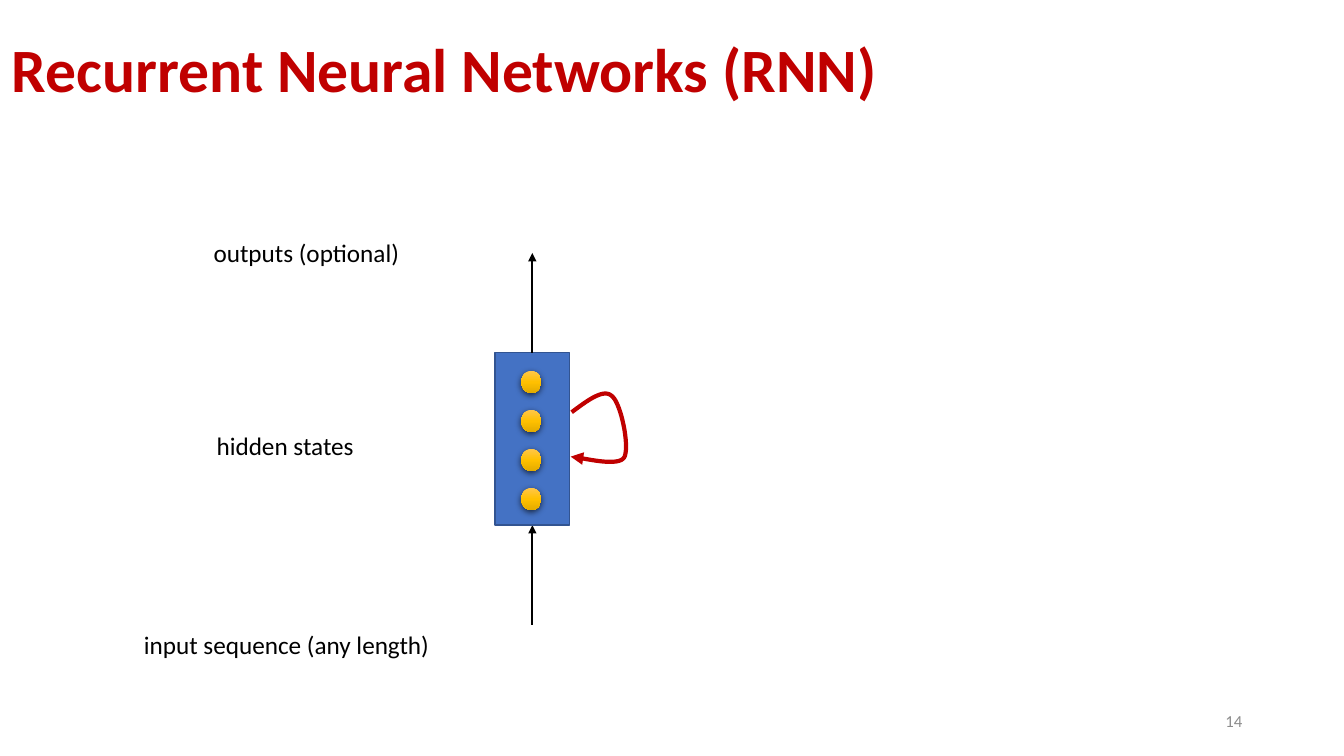
from dataclasses import dataclass

from pptx import Presentation
from pptx.dml.color import RGBColor
from pptx.enum.shapes import MSO_CONNECTOR, MSO_SHAPE
from pptx.enum.text import MSO_ANCHOR, MSO_AUTO_SIZE, PP_ALIGN
from pptx.oxml import parse_xml
from pptx.oxml.ns import nsdecls
from pptx.util import Inches, Pt

STRAIGHT = MSO_CONNECTOR.STRAIGHT
RECTANGLE, OVAL = MSO_SHAPE.RECTANGLE, MSO_SHAPE.OVAL
TOP, MIDDLE = MSO_ANCHOR.TOP, MSO_ANCHOR.MIDDLE
LEFT, RIGHT = PP_ALIGN.LEFT, PP_ALIGN.RIGHT
FIT_SHAPE = MSO_AUTO_SIZE.SHAPE_TO_FIT_TEXT
TOP_SIDE, BOTTOM_SIDE = 0, 2


@dataclass(frozen=True)
class Theme:
    font: str = "Calibri"
    accent: str = "C00000"
    ink: str = "000000"
    muted: str = "8C8C8C"
    cell_fill: str = "4472C4"
    cell_line: str = "325491"
    neuron_stops: tuple = ((0, "FFC64B"), (50, "FFC000"), (100, "E3AB00"))
    title_size: int = 44
    label_size: int = 18
    number_size: int = 12


def bezier_points(start, curves, steps=24):
    """Return points along a chain of cubic curves, without the start point."""
    points = []
    for first, second, end in curves:
        for step in range(1, steps + 1):
            t = step / steps
            weights = ((1 - t) ** 3, 3 * t * (1 - t) ** 2, 3 * t * t * (1 - t), t ** 3)
            corners = (start, first, second, end)
            points.append(tuple(sum(w * c[axis] for w, c in zip(weights, corners))
                                for axis in (0, 1)))
        start = end
    return points


def set_line(line, color, width, arrow=False):
    line.color.rgb = RGBColor.from_string(color)
    line.width = Pt(width)
    if arrow:
        line._get_or_add_ln().append(
            parse_xml(f'<a:tailEnd {nsdecls("a")} type="triangle"/>'))


class SlideBuilder:
    def __init__(self, slide, theme):
        self.shapes = slide.shapes
        self.theme = theme

    def text(self, content, left, top, width, height, *, size, color, bold=False,
             align=LEFT, anchor=TOP, wrap=True, line_spacing=None):
        box = self.shapes.add_textbox(*map(Inches, (left, top, width, height)))
        frame = box.text_frame
        frame.word_wrap = wrap
        frame.vertical_anchor = anchor
        if not wrap:
            frame.auto_size = FIT_SHAPE
        paragraph = frame.paragraphs[0]
        paragraph.alignment = align
        paragraph.line_spacing = line_spacing
        run = paragraph.add_run()
        run.text = content
        run.font.name = self.theme.font
        run.font.size = Pt(size)
        run.font.bold = bold
        run.font.color.rgb = RGBColor.from_string(color)

    def cell(self, left, top, width, height):
        block = self.shapes.add_shape(RECTANGLE, *map(Inches, (left, top, width, height)))
        block.shadow.inherit = False
        block.fill.solid()
        block.fill.fore_color.rgb = RGBColor.from_string(self.theme.cell_fill)
        set_line(block.line, self.theme.cell_line, 1)
        return block

    def neuron(self, left, top, width, height):
        """Draw a gradient dot with a soft shadow below it."""
        dot = self.shapes.add_shape(OVAL, *map(Inches, (left, top, width, height)))
        dot.line.fill.background()
        dot.shadow.inherit = False
        stops = "".join(f'<a:gs pos="{position * 1000}"><a:srgbClr val="{color}"/></a:gs>'
                        for position, color in self.theme.neuron_stops)
        properties = dot._element.spPr
        properties.prstGeom.addnext(parse_xml(
            f'<a:gradFill {nsdecls("a")} rotWithShape="1"><a:gsLst>{stops}</a:gsLst>'
            '<a:lin ang="5400000" scaled="0"/></a:gradFill>'))
        properties.effectLst.append(parse_xml(
            f'<a:outerShdw {nsdecls("a")} blurRad="{Pt(4.5)}" dist="{Pt(1.5)}" '
            'dir="5400000" algn="ctr" rotWithShape="0"><a:srgbClr val="000000">'
            '<a:alpha val="63000"/></a:srgbClr></a:outerShdw>'))

    def arrow(self, x, start_y, end_y):
        """Draw a vertical arrow and return it for joining."""
        connector = self.shapes.add_connector(
            STRAIGHT, Inches(x), Inches(start_y), Inches(x), Inches(end_y))
        set_line(connector.line, self.theme.ink, 1.5, arrow=True)
        connector._element.spPr.append(parse_xml(f'<a:effectLst {nsdecls("a")}/>'))
        return connector

    def curved_arrow(self, start, curves):
        outline = self.shapes.build_freeform(*map(Inches, start))
        outline.add_line_segments(
            [(Inches(x), Inches(y)) for x, y in bezier_points(start, curves)], close=False)
        loop = outline.convert_to_shape()
        loop.shadow.inherit = False
        loop.fill.background()
        set_line(loop.line, self.theme.accent, 3, arrow=True)


def main():
    deck = Presentation()
    deck.slide_width, deck.slide_height = Inches(13.33), Inches(7.5)
    theme = Theme()
    builder = SlideBuilder(deck.slides.add_slide(deck.slide_layouts[6]), theme)

    builder.text("Recurrent Neural Networks (RNN)", 0.02, -0.01, 11.5, 1.45,
                 size=theme.title_size, color=theme.accent, bold=True,
                 anchor=MIDDLE, line_spacing=0.9)

    cell_left, cell_top, cell_width, cell_height = 4.91, 3.5, 0.74, 1.71
    cell_center, cell_bottom = cell_left + cell_width / 2, cell_top + cell_height
    arrow_length = 0.99
    input_arrow = builder.arrow(cell_center, cell_bottom + arrow_length, cell_bottom)
    hidden_cell = builder.cell(cell_left, cell_top, cell_width, cell_height)
    input_arrow.end_connect(hidden_cell, BOTTOM_SIDE)
    for index in range(4):
        builder.neuron(5.17, 3.68 + index * 0.387, 0.2, 0.22)
    output_arrow = builder.arrow(cell_center, cell_top, cell_top - arrow_length)
    output_arrow.begin_connect(hidden_cell, TOP_SIDE)

    for label, left, top, width in (
        ("input sequence (any length)", 1.33, 6.19, 3.07),
        ("hidden states", 2.05, 4.22, 1.64),
        ("outputs (optional)", 2.02, 2.31, 2.07),
    ):
        builder.text(label, left, top, width, 0.4, size=theme.label_size,
                     color=theme.ink, wrap=False)

    builder.curved_arrow((5.67, 4.09), (
        ((5.83, 3.97), (5.99, 3.85), (6.07, 3.93)),
        ((6.16, 4), (6.25, 4.44), (6.19, 4.54)),
        ((6.12, 4.64), (5.74, 4.53), (5.66, 4.53)),
    ))

    builder.text("14", 9.42, 6.95, 3, 0.4, size=theme.number_size, color=theme.muted,
                 align=RIGHT, anchor=MIDDLE)
    deck.save("out.pptx")


if __name__ == "__main__":
    main()
